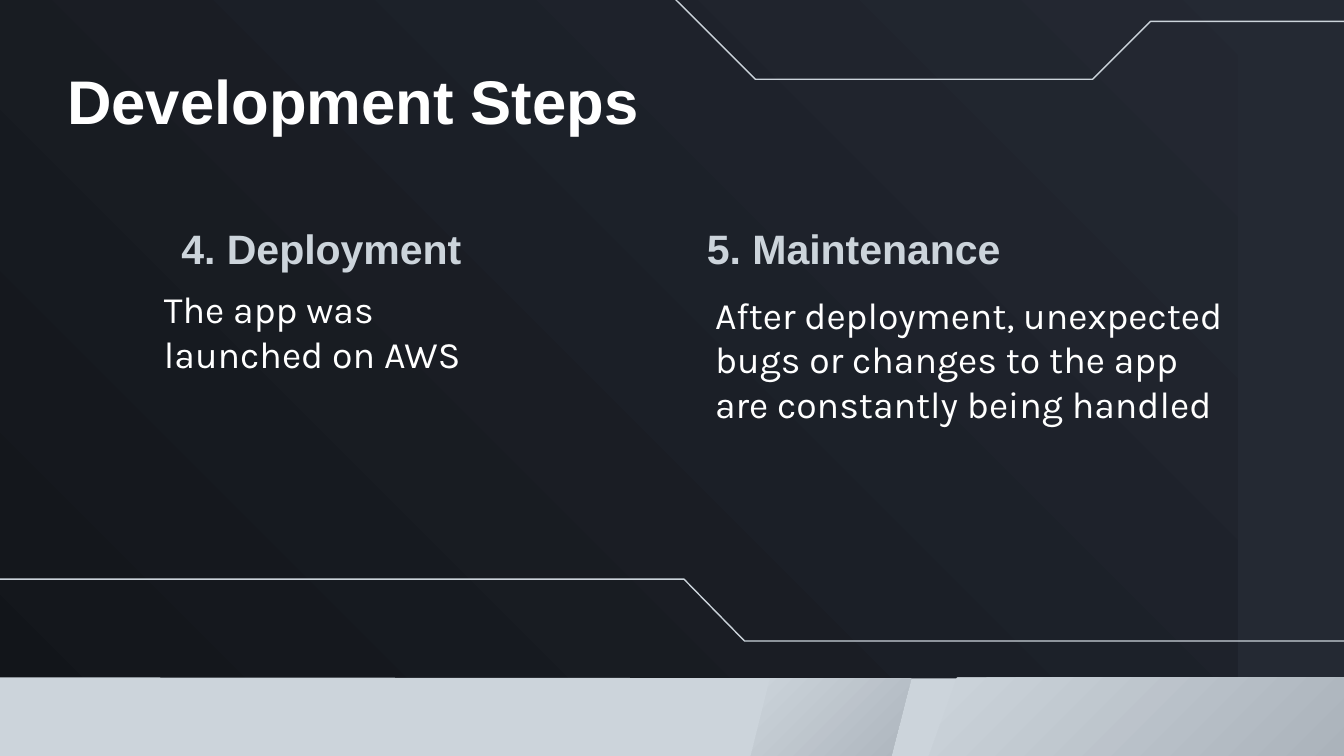
from dataclasses import dataclass

import pptx
import pptx.dml.color
import pptx.enum.shapes
import pptx.enum.text
import pptx.oxml
import pptx.util

Inches = pptx.util.Inches
Color = pptx.dml.color.RGBColor
Anchor = pptx.enum.text.MSO_ANCHOR

BLACK = Color(0x12, 0x15, 0x1A)
SLATE = Color(0x24, 0x29, 0x33)
SILVER = Color(0xCC, 0xD4, 0xDB)
STEEL = Color(0xAB, 0xB3, 0xBB)
WHITE = Color(0xFF, 0xFF, 0xFF)


@dataclass
class Style:
    font: str
    size: int
    color: Color
    bold: bool
    anchor: Anchor


@dataclass
class Label:
    slot: int
    text: str
    box: tuple[float, float, float, float]
    style: Style


@dataclass
class Panel:
    points: list[tuple[float, float]]
    shaded: bool = True


TITLE = Style("Arial", 33, WHITE, True, Anchor.TOP)
HEAD = Style("Arial", 22, SILVER, True, Anchor.BOTTOM)
BODY = Style("Karla", 20, WHITE, False, Anchor.TOP)

LABELS = [
    Label(0, "Development Steps", (0.4, 0.37, 8.44, 0.63), TITLE),
    Label(1, "4. Deployment", (1.25, 1.68, 2.45, 0.45), HEAD),
    Label(2, "The app was launched on AWS", (1.12, 2.03, 2.98, 0.97), BODY),
    Label(3, "5. Maintenance", (5.16, 1.68, 2.73, 0.45), HEAD),
    Label(4, "After deployment, unexpected bugs or changes to the app "
          "are constantly being handled", (5.22, 2.07, 4.09, 1.96), BODY),
]

PANELS = [
    Panel([(-0.06, 5.04), (-0.07, 5.78), (9.19, 5.76), (9.19, 5.05)], False),
    Panel([(5.73, 5.05), (5.55, 5.78), (6.59, 5.79), (6.78, 5.05)]),
    Panel([(7.19, 5.05), (7, 5.78), (9.21, 5.78), (9.21, 5.05)]),
    Panel([(7.12, 5.04), (6.91, 5.63), (10, 5.63), (10, 5.04)]),
]

TRACES = [
    [(10.96, 0.16), (8.56, 0.16), (8.13, 0.59), (5.62, 0.59),
     (4.96, -0.07), (0.79, -0.07)],
    [(10, 4.77), (5.54, 4.77), (5.09, 4.31), (0, 4.31)],
]


def shade(fill, start: Color, end: Color, angle: float) -> None:
    fill.gradient()
    fill.gradient_angle = angle
    for stop, color in zip(fill.gradient_stops, (start, end)):
        stop.color.rgb = color


def outline(slide, points: list[tuple[float, float]], close: bool):
    first, *rest = [(Inches(x), Inches(y)) for x, y in points]
    pen = slide.shapes.build_freeform(*first)
    pen.add_line_segments(rest, close=close)
    shape = pen.convert_to_shape()
    shape.shadow.inherit = False
    return shape


def add_panel(slide, panel: Panel) -> None:
    shape = outline(slide, panel.points, True)
    shape.line.fill.background()
    if panel.shaded:
        shade(shape.fill, SILVER, STEEL, 315)
    else:
        shape.fill.solid()
        shape.fill.fore_color.rgb = SILVER


def add_trace(slide, points: list[tuple[float, float]]) -> None:
    shape = outline(slide, points, False)
    shape.fill.background()
    shape.line.color.rgb = SILVER
    shape.line.width = pptx.util.Pt(0.75)


def add_band(slide) -> None:
    band = slide.shapes.add_shape(
        pptx.enum.shapes.MSO_SHAPE.RECTANGLE,
        Inches(6.79), Inches(2.42), Inches(5.63), Inches(0.79))
    band.rotation = 90
    band.shadow.inherit = False
    band.fill.solid()
    band.fill.fore_color.rgb = SLATE
    band.line.fill.background()


def add_label(slide, label: Label) -> None:
    holder = slide.placeholders[label.slot]
    holder.left, holder.top, holder.width, holder.height = map(Inches, label.box)
    frame = holder.text_frame
    frame.text = label.text
    frame.word_wrap = True
    frame.auto_size = pptx.enum.text.MSO_AUTO_SIZE.NONE
    frame.vertical_anchor = label.style.anchor
    frame.margin_left = frame.margin_right = Inches(0.1)
    frame.margin_top = frame.margin_bottom = Inches(0.1)
    line = frame.paragraphs[0]
    props = line._p.get_or_add_pPr()
    props.set("marL", "0")
    props.set("indent", "0")
    props.append(pptx.oxml.parse_xml(
        '<a:buNone xmlns:a="http://schemas.openxmlformats.org/drawingml/2006/main"/>'))
    line.alignment = pptx.enum.text.PP_ALIGN.LEFT
    line.space_before = pptx.util.Pt(0)
    line.font.name = label.style.font
    line.font.size = pptx.util.Pt(label.style.size)
    line.font.bold = label.style.bold
    line.font.color.rgb = label.style.color


def main() -> None:
    deck = pptx.Presentation()
    deck.slide_width = Inches(10)
    deck.slide_height = deck.slide_width * 9 // 16
    slide = deck.slides.add_slide(deck.slide_layouts[4])
    shade(slide.background.fill, BLACK, SLATE, 45)
    add_band(slide)
    for panel in PANELS:
        add_panel(slide, panel)
    for points in TRACES:
        add_trace(slide, points)
    for label in LABELS:
        add_label(slide, label)
    deck.save("out.pptx")


if __name__ == "__main__":
    main()
